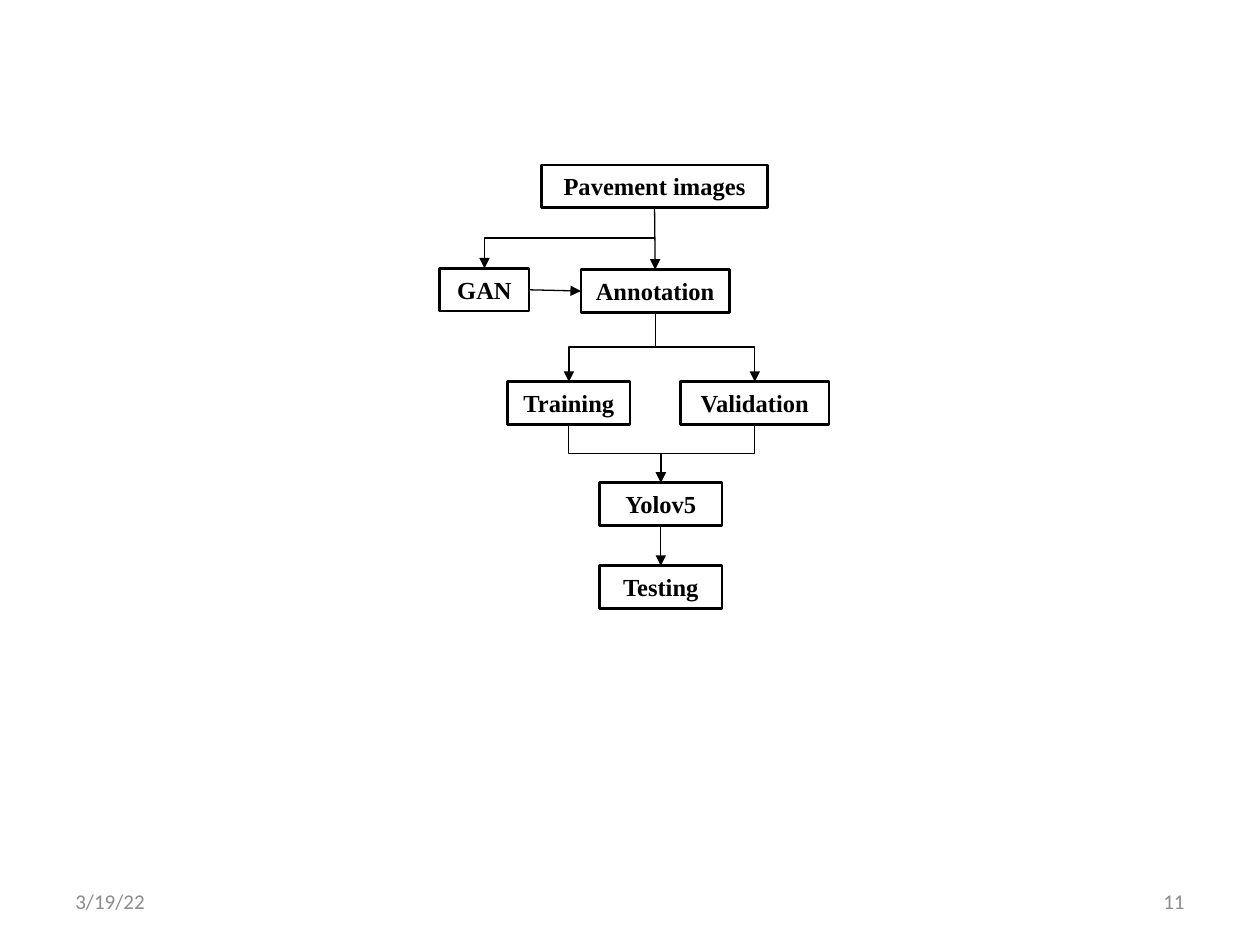
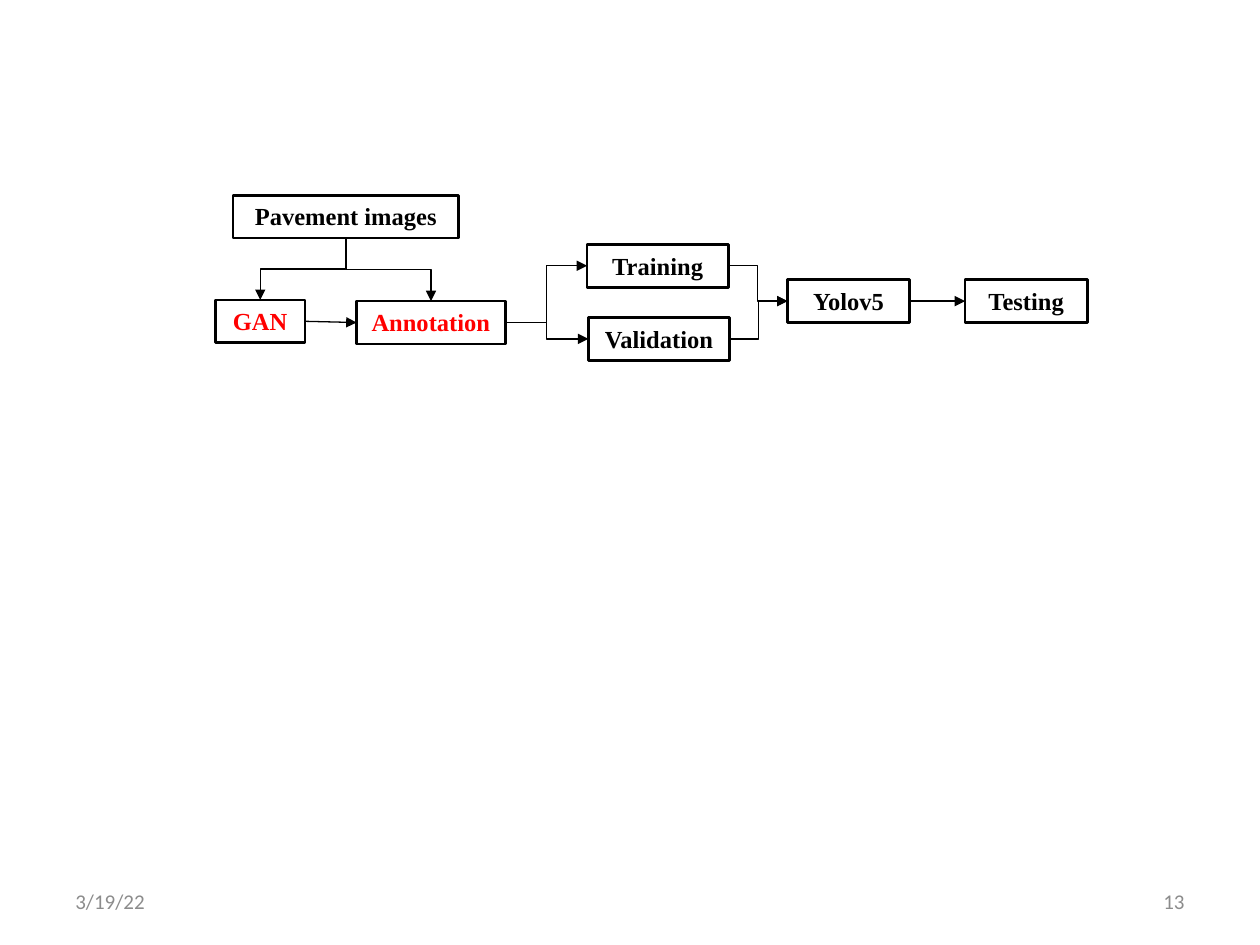
from lxml import etree
from pptx import Presentation
from pptx.dml.color import RGBColor
from pptx.enum.shapes import MSO_CONNECTOR as CONN, MSO_SHAPE as SHAPE
from pptx.enum.text import MSO_ANCHOR as ANCHOR, MSO_AUTO_SIZE as AUTO, PP_ALIGN as ALIGN
from pptx.oxml.ns import qn
from pptx.util import Inches, Pt

BLACK, RED, GREY = "000000", "FF0000", "8C8C8C"
BOX_FONT, FOOTER_FONT = "Times New Roman", "Calibri"
BOX_H = 0.34
STRAIGHT_LIMIT = 0.03  # ends offset by less than this need no bend
DATE = "3/19/22"

# Each step: left, top, width
VERTICAL_STEPS = {
    "GAN": (3.49, 2.13, 0.71),
    "Yolov5": (4.76, 3.83, 0.97),
    "Training": (4.03, 3.03, 0.97),
    "Validation": (5.4, 3.03, 1.18),
    "Pavement images": (4.3, 1.31, 1.79),
    "Annotation": (4.61, 2.14, 1.18),
    "Testing": (4.76, 4.49, 0.97),
}
VERTICAL_LINKS = [
    ("Pavement images", "GAN", "down"),
    ("Pavement images", "Annotation", "down"),
    ("GAN", "Annotation", "right"),
    ("Annotation", "Training", "down"),
    ("Annotation", "Validation", "down"),
    ("Training", "Yolov5", "down"),
    ("Validation", "Yolov5", "down"),
    ("Yolov5", "Testing", "down"),
]
HORIZONTAL_STEPS = {
    "GAN": (1.71, 2.38, 0.71),
    "Yolov5": (6.25, 2.22, 0.97),
    "Training": (4.66, 1.94, 1.12),
    "Validation": (4.67, 2.52, 1.12),
    "Pavement images": (1.85, 1.55, 1.79),
    "Annotation": (2.83, 2.39, 1.18),
    "Testing": (7.66, 2.22, 0.97),
}
HORIZONTAL_LINKS = [
    ("Pavement images", "GAN", "down"),
    ("Pavement images", "Annotation", "down"),
    ("GAN", "Annotation", "right"),
    ("Annotation", "Training", "right"),
    ("Annotation", "Validation", "right"),
    ("Training", "Yolov5", "right"),
    ("Validation", "Yolov5", "right"),
    ("Yolov5", "Testing", "right"),
]


def rgb(color):
    return RGBColor.from_string(color)


def write(tf, text, font, size, color, align, bold=False):
    p = tf.paragraphs[0]
    p.alignment = align
    r = p.add_run()
    r.text = text
    r.font.name, r.font.size, r.font.bold = font, Pt(size), bold
    r.font.color.rgb = rgb(color)


def add_footer(slide, number):
    for text, left, align in ((DATE, 0.5, ALIGN.LEFT), (number, 7.17, ALIGN.RIGHT)):
        tf = slide.shapes.add_textbox(Inches(left), Inches(6.95), Inches(2.33), Inches(0.4)).text_frame
        tf.word_wrap = True
        tf.vertical_anchor = ANCHOR.MIDDLE
        write(tf, text, FOOTER_FONT, 12, GREY, align)


def add_step(slide, text, left, top, width, color):
    sp = slide.shapes.add_shape(SHAPE.RECTANGLE, Inches(left), Inches(top), Inches(width), Inches(BOX_H))
    sp.shadow.inherit = False
    sp.fill.background()
    sp.line.color.rgb = rgb(BLACK)
    sp.line.width = Pt(1.5)
    tf = sp.text_frame
    tf.word_wrap = True
    tf.auto_size = AUTO.SHAPE_TO_FIT_TEXT
    tf.vertical_anchor = ANCHOR.TOP
    write(tf, text, BOX_FONT, 14, color, ALIGN.CENTER, bold=True)


def link_ends(source, target, direction):
    """Return the points where a link leaves the source and enters the target."""
    (x1, y1, w1), (x2, y2, w2) = source, target
    if direction == "down":
        return x1 + w1 / 2, y1 + BOX_H, x2 + w2 / 2, y2
    return x1 + w1, y1 + BOX_H / 2, x2, y2 + BOX_H / 2


def add_arrow(slide, x1, y1, x2, y2, direction):
    """Draw a straight or elbow arrow; an elbow that starts downwards is a turned one."""
    dx, dy = x2 - x1, y2 - y1
    offset = dx if direction == "down" else dy
    kind = CONN.STRAIGHT if abs(offset) < STRAIGHT_LIMIT else CONN.ELBOW
    turn = None
    if kind == CONN.ELBOW and direction == "down":
        cx, cy = (x1 + x2) / 2, (y1 + y2) / 2
        sign, turn = (1, 90) if dx < 0 else (-1, 270)
        x1, x2 = cx - sign * dy / 2, cx + sign * dy / 2
        y1, y2 = cy - abs(dx) / 2, cy + abs(dx) / 2
    line = slide.shapes.add_connector(kind, Inches(x1), Inches(y1), Inches(x2), Inches(y2))
    line.line.color.rgb = rgb(BLACK)
    line.line.width = Pt(0.75)
    sp_pr = line._element.spPr
    if turn:
        sp_pr.find(qn("a:xfrm")).set("rot", str(turn * 60000))
    etree.SubElement(sp_pr.find(qn("a:ln")), qn("a:tailEnd")).set("type", "triangle")
    etree.SubElement(sp_pr, qn("a:effectLst"))


def add_flow_slide(prs, number, steps, links, highlighted=()):
    slide = prs.slides.add_slide(prs.slide_layouts[6])
    add_footer(slide, number)
    for text, place in steps.items():
        add_step(slide, text, *place, RED if text in highlighted else BLACK)
    for source, target, direction in links:
        add_arrow(slide, *link_ends(steps[source], steps[target], direction), direction)


def main():
    prs = Presentation()
    prs.slide_width, prs.slide_height = Inches(10), Inches(7.5)
    add_flow_slide(prs, "11", VERTICAL_STEPS, VERTICAL_LINKS)
    add_flow_slide(prs, "13", HORIZONTAL_STEPS, HORIZONTAL_LINKS, ("GAN", "Annotation"))
    prs.save("out.pptx")


if __name__ == "__main__":
    main()
